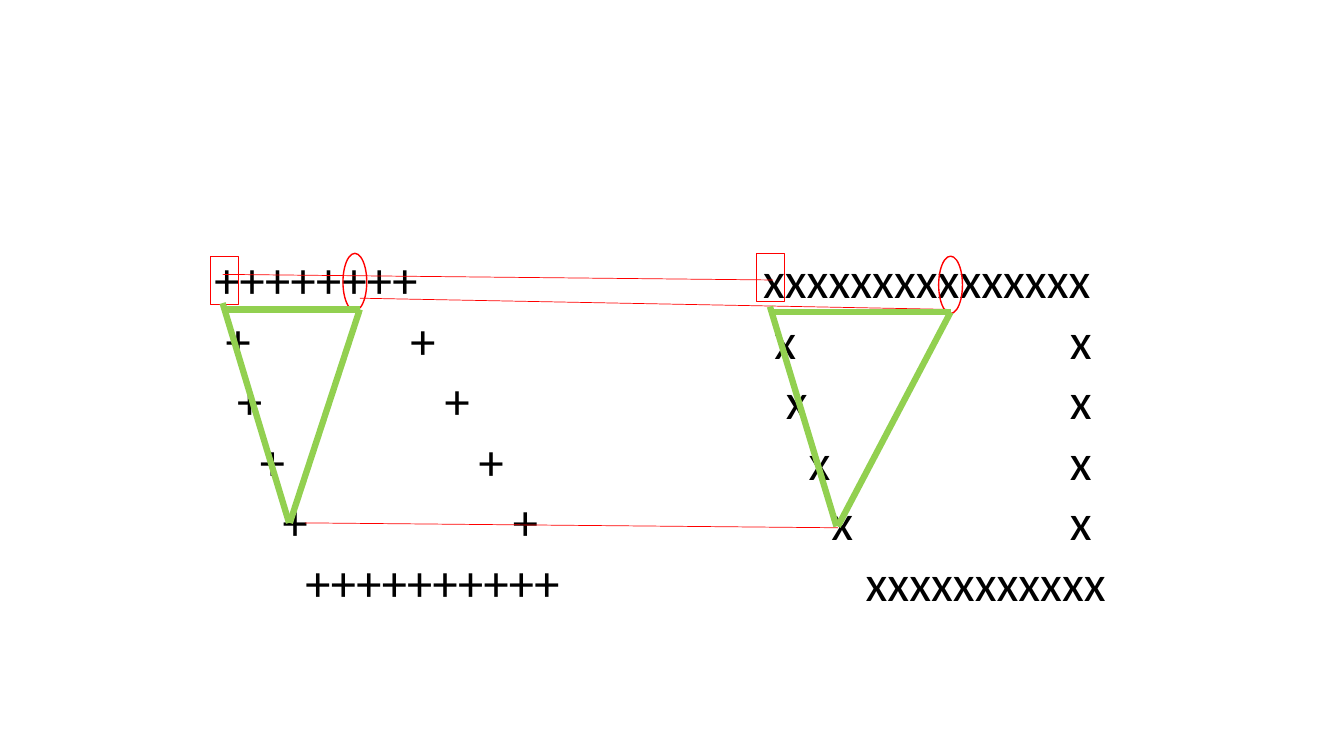
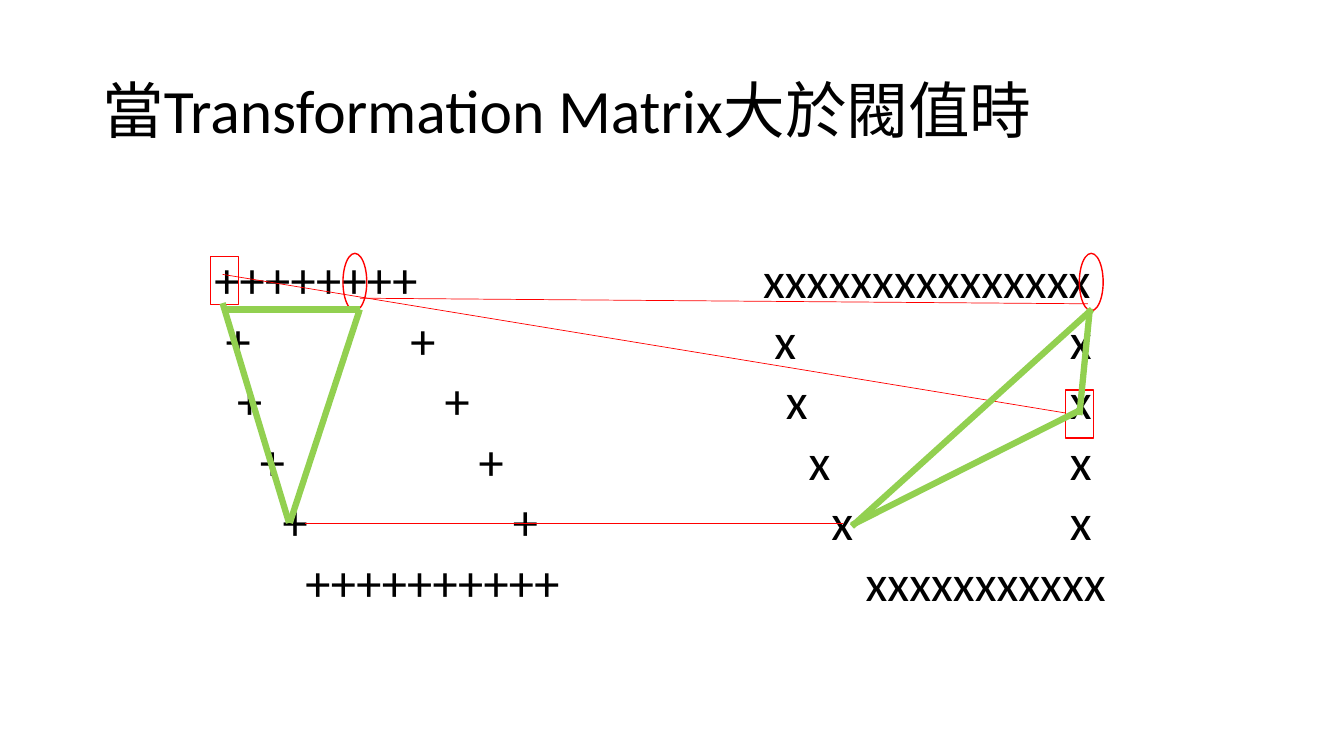
from dataclasses import dataclass

from lxml.etree import SubElement
from pptx import Presentation
from pptx.dml.color import RGBColor
from pptx.enum.shapes import MSO_CONNECTOR, MSO_SHAPE
from pptx.enum.text import MSO_ANCHOR
from pptx.oxml.ns import qn
from pptx.util import Pt


@dataclass(frozen=True)
class Theme:
    font: str = "Calibri"
    text: RGBColor = RGBColor(0x00, 0x00, 0x00)
    match: RGBColor = RGBColor(0xFF, 0x00, 0x00)
    triangle: RGBColor = RGBColor(0x92, 0xD0, 0x50)
    title_size: float = 44
    pattern_size: float = 36
    match_width: float = 0.5
    marker_width: float = 1
    triangle_width: float = 4.5


THEME = Theme()
STEP = 8.14  # one column of the character grid
PLUS_WIDTH, X_WIDTH = 17.93, 15.6
PATTERN_TOP, PATTERN_HEIGHT = 174, 269
SQUARE, CIRCLE = (MSO_SHAPE.RECTANGLE, 20, 34.5), (MSO_SHAPE.OVAL, 17, 41)

# Each row: text, then the tab stops of its marks.
PLUS_ROWS = [("++++++++", [])] + [
    ("\t+\t+", [indent * STEP, PLUS_WIDTH + (15 + 3 * row) * STEP])
    for row, indent in enumerate((1, 2, 4, 6))
] + [("\t++++++++++", [8 * STEP])]
X_ROWS = [("xxxxxxxxxxxxxxx", [])] + [
    ("\tx\tx", [indent * STEP, X_WIDTH + 25 * STEP]) for indent in (1, 2, 4, 6)
] + [("\txxxxxxxxxxx", [9 * STEP])]

LEFT_MARKERS = [(CIRCLE, 245, 181), (SQUARE, 150.5, 183)]
LEFT_TRIANGLE = [(159, 221, 257, 221), (159, 216.5, 206.5, 373.5), (257, 221, 207, 373.5)]

CLOSE_FIT = {
    "matches": [(159, 196, 552, 200), (257, 213, 677, 221), (218, 373.5, 598.5, 377)],
    "markers": [(CIRCLE, 670.5, 183), (SQUARE, 540.5, 181)],
    "triangle": [(550, 223, 679, 223), (550, 219, 597.5, 376), (679, 223, 598.5, 376)],
}
POOR_FIT = {
    "matches": [(159, 196, 761, 295), (257, 213, 777, 217), (218, 373.5, 602, 373.5)],
    "markers": [(CIRCLE, 771, 181), (SQUARE, 761, 278.5)],
    "triangle": [(608.5, 376, 780, 221), (772.5, 292.5, 608.5, 375), (778.5, 220.5, 771, 296.5)],
}


def format_runs(paragraph, size):
    for run in paragraph.runs:
        run.font.name = THEME.font
        run.font.size = Pt(size)
        run.font.color.rgb = THEME.text


def add_text_box(slide, left, top, width, height):
    box = slide.shapes.add_textbox(Pt(left), Pt(top), Pt(width), Pt(height))
    box.text_frame.word_wrap = True
    return box.text_frame


def add_title(slide, title):
    text_frame = add_text_box(slide, 66, 28.75, 828, 104.5)
    text_frame.vertical_anchor = MSO_ANCHOR.MIDDLE
    paragraph = text_frame.paragraphs[0]
    paragraph.text = title
    paragraph.line_spacing = 0.9
    format_runs(paragraph, THEME.title_size)


def set_tab_stops(paragraph, stops):
    tab_list = SubElement(paragraph._p.get_or_add_pPr(), qn("a:tabLst"))
    for stop in stops:
        SubElement(tab_list, qn("a:tab"), pos=str(int(Pt(stop))), algn="l")


def add_pattern(slide, left, width, rows):
    text_frame = add_text_box(slide, left, PATTERN_TOP, width, PATTERN_HEIGHT)
    text_frame.text = "\n".join(text for text, _ in rows)
    for paragraph, (_, stops) in zip(text_frame.paragraphs, rows):
        format_runs(paragraph, THEME.pattern_size)
        if stops:
            set_tab_stops(paragraph, stops)


def add_lines(slide, lines, color, width):
    for ends in lines:
        line = slide.shapes.add_connector(MSO_CONNECTOR.STRAIGHT, *map(Pt, ends))
        line.line.color.rgb = color
        line.line.width = Pt(width)
        SubElement(line._element.spPr, qn("a:effectLst"))


def add_markers(slide, markers):
    for (kind, width, height), left, top in markers:
        marker = slide.shapes.add_shape(kind, Pt(left), Pt(top), Pt(width), Pt(height))
        marker.shadow.inherit = False
        marker.fill.background()
        marker.line.color.rgb = THEME.match
        marker.line.width = Pt(THEME.marker_width)


def add_comparison(presentation, fit, title=None):
    """Add a slide that matches three plus points with three x points."""
    slide = presentation.slides.add_slide(presentation.slide_layouts[6])
    if title:
        add_title(slide, title)
    add_pattern(slide, 146, 297, PLUS_ROWS)
    add_pattern(slide, 538, 309, X_ROWS)
    add_lines(slide, fit["matches"], THEME.match, THEME.match_width)
    add_markers(slide, LEFT_MARKERS + fit["markers"])
    add_lines(slide, LEFT_TRIANGLE + fit["triangle"], THEME.triangle, THEME.triangle_width)


def main():
    presentation = Presentation()
    presentation.slide_width, presentation.slide_height = Pt(960), Pt(540)
    add_comparison(presentation, CLOSE_FIT)
    add_comparison(presentation, POOR_FIT, "當Transformation Matrix大於閥值時")
    presentation.save("out.pptx")


if __name__ == "__main__":
    main()
